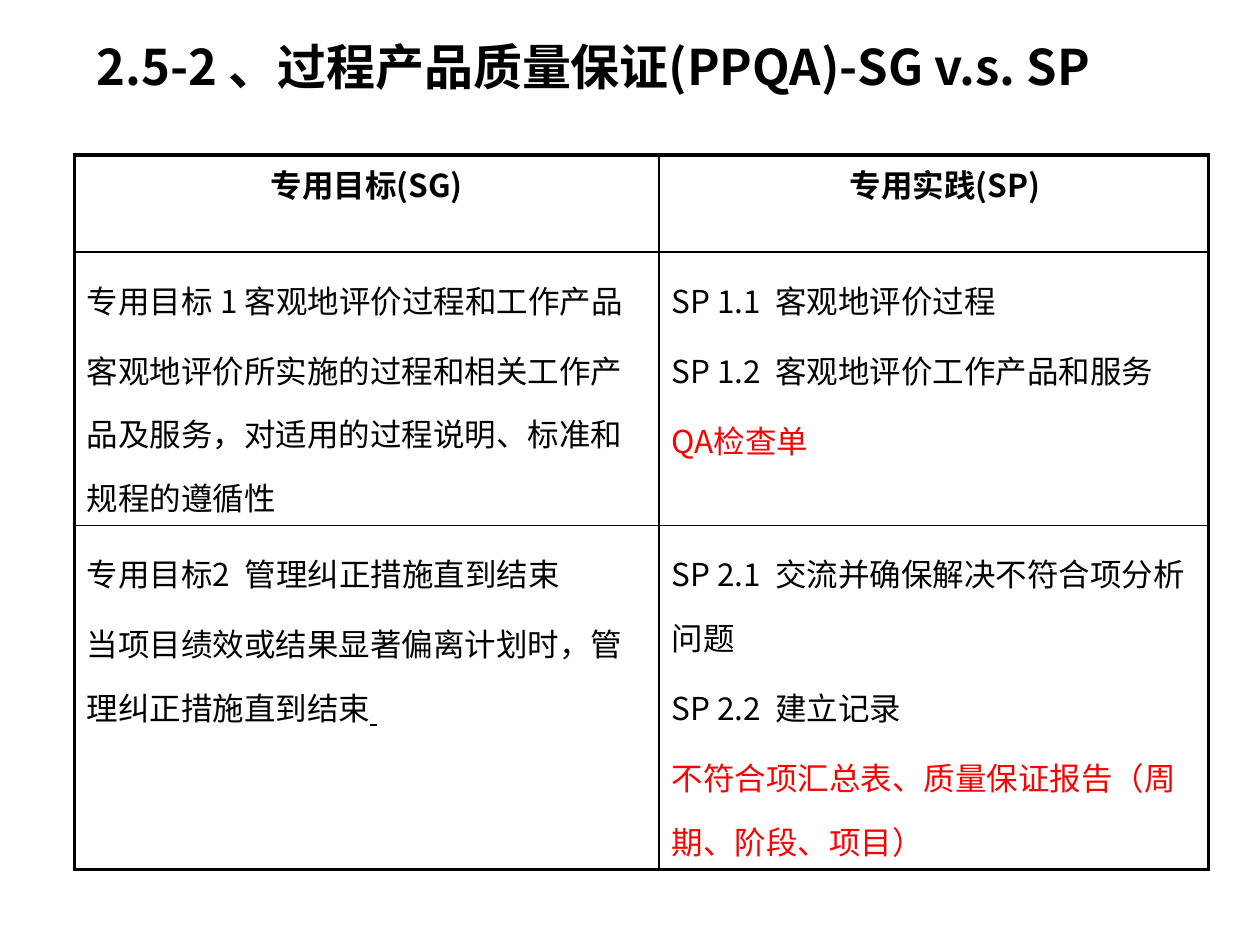
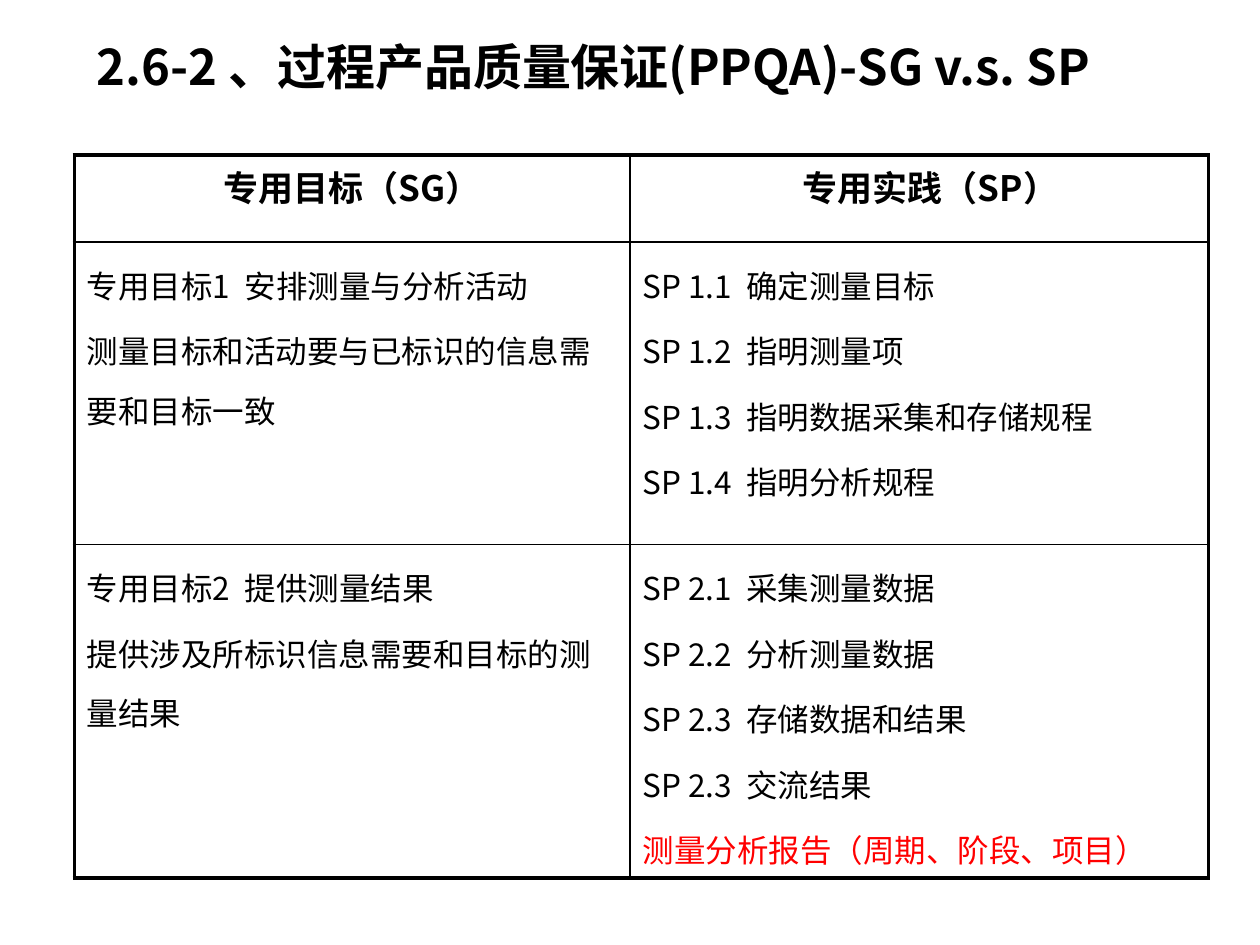
"""Build two slides that map specific goals to specific practices."""
import lxml.etree
import pptx
import pptx.dml.color
import pptx.enum.text
import pptx.oxml.ns
import pptx.util

Inches = pptx.util.Inches
Pt = pptx.util.Pt
qn = pptx.oxml.ns.qn

FONT = "Noto Sans CJK SC"
BLACK = pptx.dml.color.RGBColor(0x00, 0x00, 0x00)
RED = pptx.dml.color.RGBColor(0xFF, 0x00, 0x00)
OUTER_LINE = 2.25
INNER_LINE = 1
BODY_SIZE = 18

WORK_PRODUCTS = {
    "QA检查单",
    "不符合项汇总表、质量保证报告（周期、阶段、项目）",
    "测量分析报告（周期、阶段、项目）",
}

SLIDES = [
    {
        "title": "2.5-2 、过程产品质量保证(PPQA)-SG v.s. SP",
        "columns": [4.64, 4.36],
        "rows": [0.77, 2.17, 2.73],
        "header_size": 18,
        "line_spacing": 1.4,
        "cells": [
            [["专用目标(SG)"], ["专用实践(SP)"]],
            [
                ["专用目标 1 客观地评价过程和工作产品",
                 "客观地评价所实施的过程和相关工作产品及服务，对适用的过程说明、标准和规程的遵循性"],
                ["SP 1.1  客观地评价过程", "SP 1.2  客观地评价工作产品和服务", "QA检查单"],
            ],
            [
                ["专用目标2  管理纠正措施直到结束",
                 "当项目绩效或结果显著偏离计划时，管理纠正措施直到结束 "],
                ["SP 2.1  交流并确保解决不符合项分析问题", "SP 2.2  建立记录",
                 "不符合项汇总表、质量保证报告（周期、阶段、项目）"],
            ],
        ],
    },
    {
        "title": "2.6-2 、过程产品质量保证(PPQA)-SG v.s. SP",
        "columns": [4.41, 4.59],
        "rows": [0.69, 2.4, 2.65],
        "header_size": 20,
        "line_spacing": 1.3,
        "cells": [
            [["专用目标（SG）"], ["专用实践（SP）"]],
            [
                ["专用目标1  安排测量与分析活动", "测量目标和活动要与已标识的信息需要和目标一致"],
                ["SP 1.1  确定测量目标", "SP 1.2  指明测量项",
                 "SP 1.3  指明数据采集和存储规程", "SP 1.4  指明分析规程"],
            ],
            [
                ["专用目标2  提供测量结果", "提供涉及所标识信息需要和目标的测量结果"],
                ["SP 2.1  采集测量数据", "SP 2.2  分析测量数据", "SP 2.3  存储数据和结果",
                 "SP 2.3  交流结果", "测量分析报告（周期、阶段、项目）"],
            ],
        ],
    },
]


def format_run(run, size, color=BLACK, bold=False):
    run.font.name = FONT
    run.font.size = Pt(size)
    run.font.bold = bold
    run.font.color.rgb = color
    east_asian = lxml.etree.SubElement(run.font._element, qn("a:ea"))
    east_asian.set("typeface", FONT)


def set_borders(cell, widths):
    properties = cell._tc.get_or_add_tcPr()
    for side, width in widths.items():
        line = lxml.etree.SubElement(properties, qn(f"a:ln{side}"), w=str(Pt(width)))
        fill = lxml.etree.SubElement(line, qn("a:solidFill"))
        lxml.etree.SubElement(fill, qn("a:srgbClr"), val=str(BLACK))


presentation = pptx.Presentation()
presentation.slide_width = Inches(10)
presentation.slide_height = Inches(7.5)

for content in SLIDES:
    slide = presentation.slides.add_slide(presentation.slide_layouts[6])

    title = slide.shapes.add_textbox(Inches(0.67), Inches(0.13), Inches(8.83), Inches(0.79))
    title.text_frame.word_wrap = True
    title.text_frame.vertical_anchor = pptx.enum.text.MSO_ANCHOR.MIDDLE
    title.text_frame.text = content["title"]
    format_run(title.text_frame.paragraphs[0].runs[0], 28, bold=True)

    row_count, column_count = len(content["rows"]), len(content["columns"])
    table = slide.shapes.add_table(
        row_count, column_count, Inches(0.59), Inches(1.23),
        Inches(sum(content["columns"])), Inches(sum(content["rows"]))).table
    table.first_row = False
    table.horz_banding = False
    for column, width in zip(table.columns, content["columns"]):
        column.width = Inches(width)
    for row, height in zip(table.rows, content["rows"]):
        row.height = Inches(height)

    for row_index, row_texts in enumerate(content["cells"]):
        is_header = row_index == 0
        size = content["header_size"] if is_header else BODY_SIZE
        for column_index, texts in enumerate(row_texts):
            cell = table.cell(row_index, column_index)
            set_borders(cell, {
                "L": OUTER_LINE if column_index == 0 else INNER_LINE,
                "R": OUTER_LINE if column_index == column_count - 1 else INNER_LINE,
                "T": OUTER_LINE if is_header else INNER_LINE,
                "B": OUTER_LINE if row_index == row_count - 1 else INNER_LINE,
            })
            cell.fill.background()
            if is_header and column_index == 1:
                cell.margin_left = Inches(0.28)

            cell.text_frame.text = "\n".join(text.rstrip() for text in texts)
            for paragraph, text in zip(cell.text_frame.paragraphs, texts):
                paragraph.space_before = Pt(size * 0.2)
                if is_header:
                    paragraph.alignment = pptx.enum.text.PP_ALIGN.CENTER
                else:
                    paragraph.line_spacing = content["line_spacing"]
                color = RED if text in WORK_PRODUCTS else BLACK
                format_run(paragraph.runs[0], size, color, bold=is_header)
                if text.endswith(" "):
                    underlined_space = paragraph.add_run()
                    underlined_space.text = " "
                    format_run(underlined_space, size)
                    underlined_space.font.underline = True

presentation.save("out.pptx")
